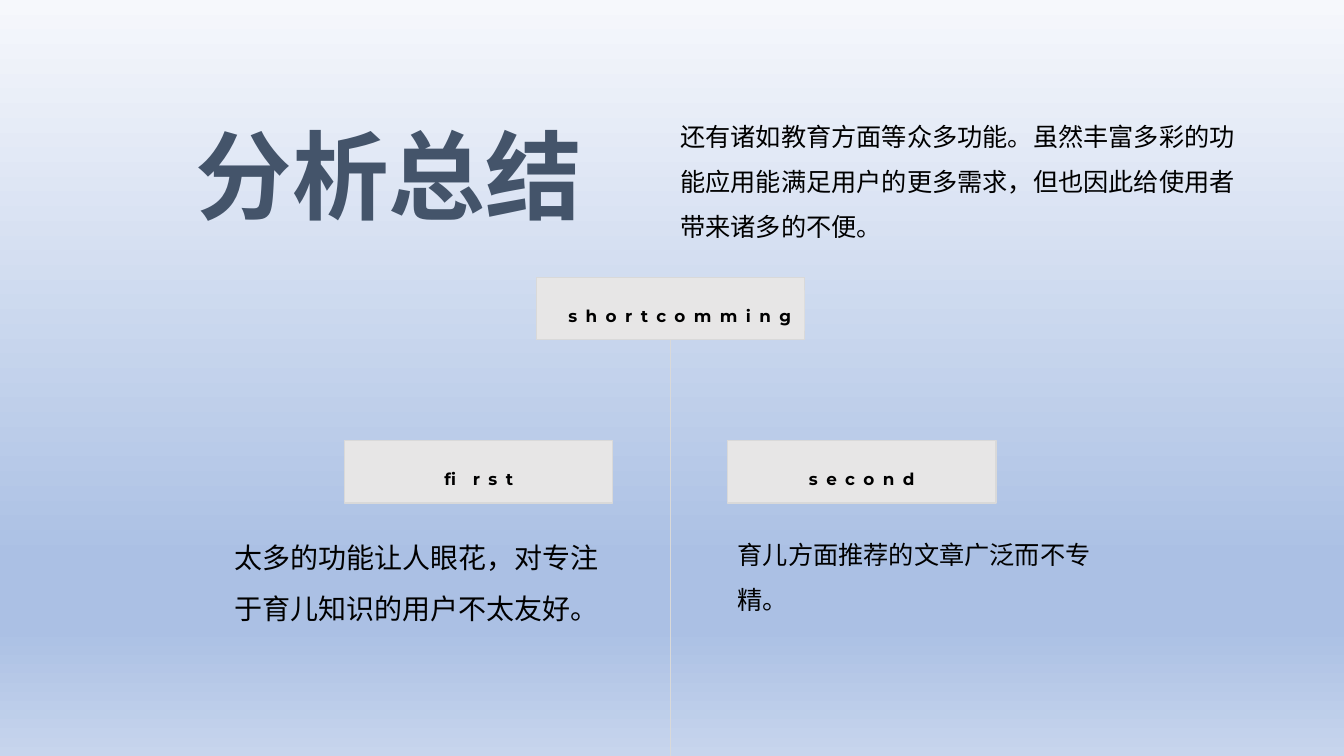
from dataclasses import dataclass

from lxml import etree
from pptx import Presentation
from pptx.dml.color import RGBColor
from pptx.enum.shapes import MSO_CONNECTOR, MSO_SHAPE
from pptx.enum.text import MSO_ANCHOR, PP_ALIGN
from pptx.oxml.ns import qn
from pptx.util import Inches, Pt

RECT = MSO_SHAPE.RECTANGLE
LINE = MSO_CONNECTOR.STRAIGHT
TOP = MSO_ANCHOR.TOP
LEFT, MID, RIGHT = PP_ALIGN.LEFT, PP_ALIGN.CENTER, PP_ALIGN.RIGHT
BOTTOM = 2  # connection site of a rectangle

# Grid of square cells, a tenth of an inch each
COLS, ROWS = 133.33, 75
CARD_W, CARD_H = 26.6, 6.2
TAG_W, TAG_H = 22.8, 4
TAG_X, TAG_Y = 1.9, 1.3
AXIS = 66.5
BRANCH_Y, NOTE_Y, NOTE_W = 43.7, 51.5, 38.6


@dataclass(frozen=True)
class Theme:
    font: str = "Montserrat"
    ink: str = "000000"
    title: str = "44546A"
    card: str = "E7E6E6"
    edge: str = "D9D9D9"
    sky: tuple = ((0, "F6F8FC"), (74, "ABC0E4"), (83, "ABC0E4"), (100, "C7D5ED"))
    head_pt: int = 69
    big_pt: int = 20
    body_pt: int = 18
    tag_pt: int = 12


THEME = Theme()


def cells(*counts):
    """Turn grid counts into lengths."""
    return [Inches(n / 10) for n in counts]


def rgb(code):
    return RGBColor.from_string(code)


def write(shape, text, size, color=THEME.ink, bold=False, align=LEFT,
          lead=1.5, track=0):
    frame = shape.text_frame
    frame.word_wrap = True
    frame.vertical_anchor = TOP
    para = frame.paragraphs[0]
    para.alignment = align
    para.line_spacing = lead
    run = para.add_run()
    run.text = text
    font = run.font
    font.name, font.size, font.bold = THEME.font, Pt(size), bold
    font.color.rgb = rgb(color)
    if track:
        run._r.get_or_add_rPr().set("spc", str(track * 100))


def note(slide, box, text, size, **style):
    write(slide.shapes.add_textbox(*cells(*box)), text, size, **style)


def sky(slide):
    """Vertical gradient behind everything."""
    fill = slide.background.fill
    fill.gradient()
    fill.gradient_angle = 270  # counted anticlockwise: top to bottom
    stops = fill._fill._gradFill.find(qn("a:gsLst"))
    for old in list(stops):
        stops.remove(old)
    for share, code in THEME.sky:
        stop = etree.SubElement(stops, qn("a:gs"), pos=str(share * 1000))
        etree.SubElement(stop, qn("a:srgbClr"), val=code)


def plate(group, box, edge=False):
    shape = group.shapes.add_shape(RECT, *cells(*box))
    shape.shadow.inherit = False
    shape.fill.solid()
    shape.fill.fore_color.rgb = rgb(THEME.card)
    if edge:
        shape.line.color.rgb = rgb(THEME.edge)
        shape.line.width = Pt(1)
    else:
        shape.line.fill.background()
    return shape


def card(slide, x, y, text, tag_w=TAG_W):
    """Edged card with a tag inside; returns the card."""
    group = slide.shapes.add_group_shape()
    base = plate(group, (x, y, CARD_W, CARD_H), edge=True)
    tag = plate(group, (x + TAG_X, y + TAG_Y, tag_w, TAG_H))
    write(tag, text, THEME.tag_pt, bold=True, align=MID, track=6)
    return base


def stem(slide, base):
    """Thin line from the root card to the foot of the slide."""
    line = slide.shapes.add_connector(LINE, *cells(AXIS, 0, AXIS, ROWS))
    line.begin_connect(base, BOTTOM)
    line.line.color.rgb = rgb(THEME.edge)
    line.line.width = Pt(0.5)
    etree.SubElement(line._element.spPr, qn("a:effectLst"))


def header(slide, x, y):
    note(slide, (x, y + 1, 91.2, 12.6), "分析总结", THEME.head_pt,
         color=THEME.title, bold=True, lead=1)
    note(slide, (AXIS, y, 57.2, 14.6),
         "还有诸如教育方面等众多功能。虽然丰富多彩的功能应用能满足用户的更多需求，"
         "但也因此给使用者带来诸多的不便。", THEME.body_pt)


def tree(slide, y):
    root = card(slide, AXIS - CARD_W / 2, y, "shortcomming", tag_w=24.7)
    stem(slide, root)
    # Branches: card x, tag, note x, note height, note, size, alignment
    for x, tag, left, high, text, size, align in (
        (34.2, "first", 21.8, 11.1,
         "太多的功能让人眼花，对专注于育儿知识的用户不太友好。",
         THEME.big_pt, RIGHT),
        (72.2, "second", 72.2, 10.1,
         "育儿方面推荐的文章广泛而不专精。", THEME.body_pt, LEFT),
    ):
        card(slide, x, BRANCH_Y, tag)
        note(slide, (left, NOTE_Y, NOTE_W, high), text, size, align=align)


def main():
    deck = Presentation()
    deck.slide_width, deck.slide_height = cells(COLS, ROWS)
    slide = deck.slides.add_slide(deck.slide_layouts[6])
    sky(slide)
    header(slide, 18.4, 10)
    tree(slide, 27.5)
    deck.save("out.pptx")


if __name__ == "__main__":
    main()
